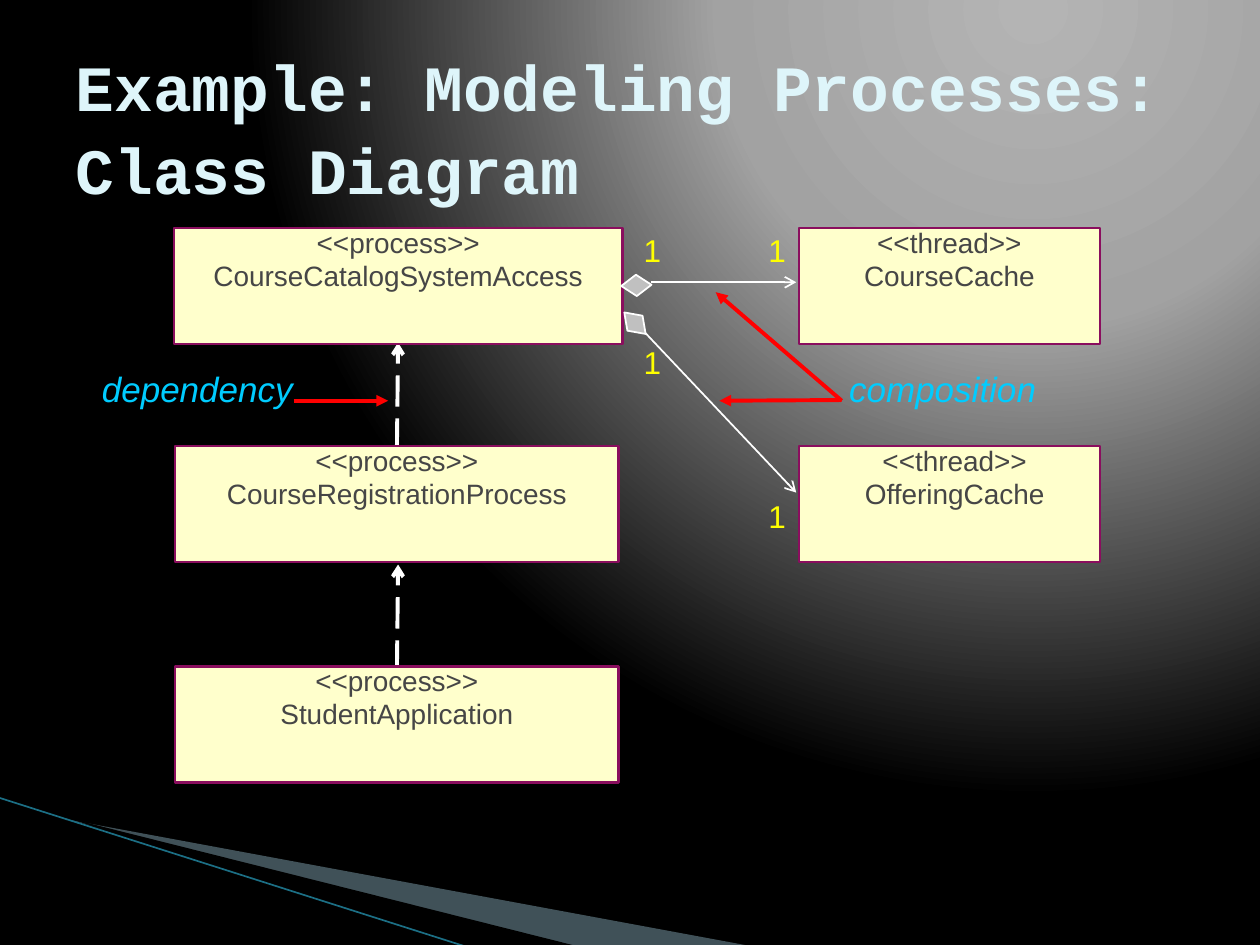
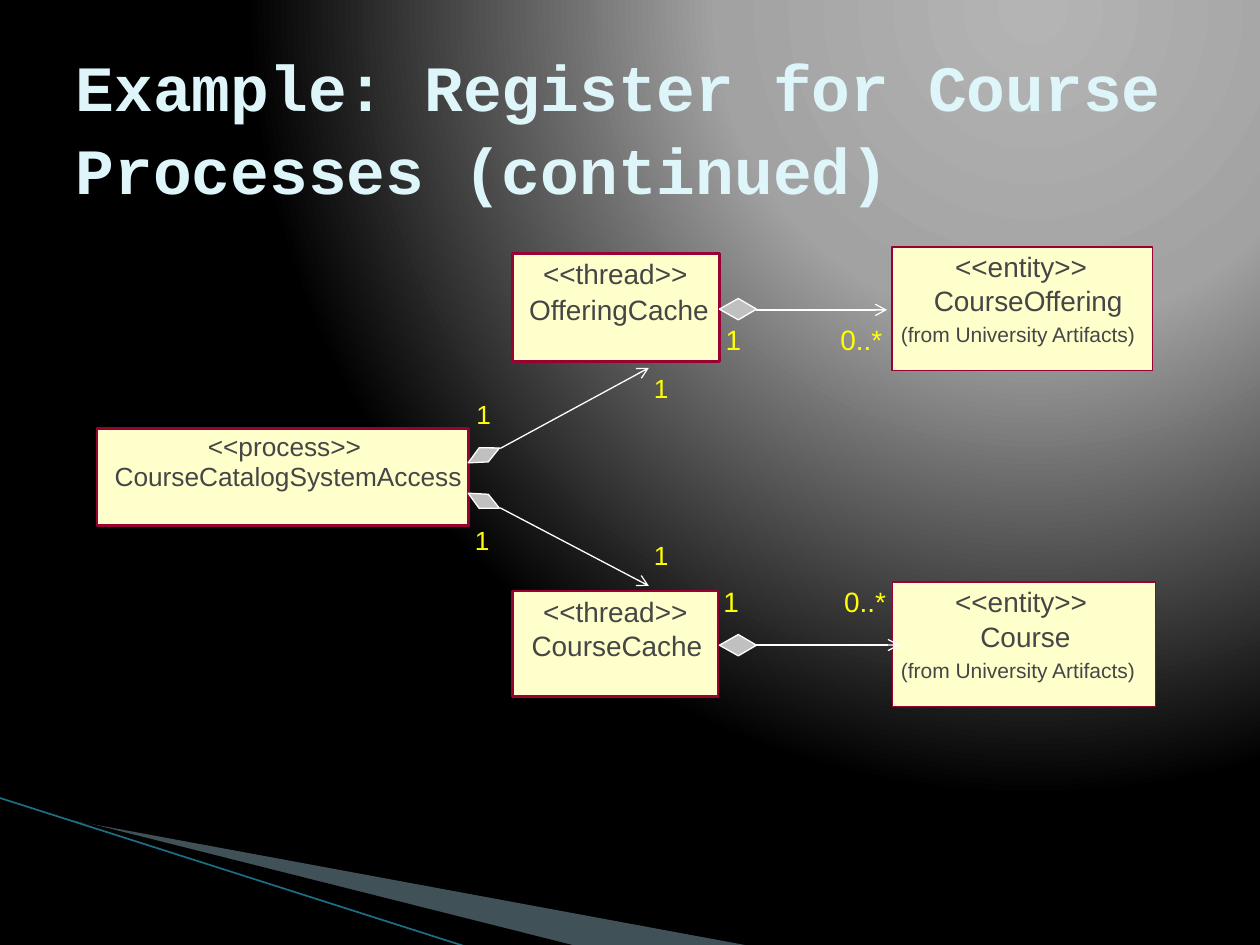
import pptx
import pptx.dml.color
import pptx.enum.dml
import pptx.enum.shapes
import pptx.enum.text
import pptx.oxml
import pptx.oxml.ns
import pptx.util

Pt = pptx.util.Pt
qn = pptx.oxml.ns.qn
SHAPES = pptx.enum.shapes.MSO_SHAPE
ALIGN = pptx.enum.text.PP_ALIGN
ANCHOR = pptx.enum.text.MSO_ANCHOR
LONG_DASH = pptx.enum.dml.MSO_LINE.LONG_DASH

NAMESPACE = 'xmlns:a="http://schemas.openxmlformats.org/drawingml/2006/main"'
WHITE, BLACK, RED = "FFFFFF", "000000", "FF0000"
CREAM, PURPLE, CRIMSON = "FFFFCC", "8A0E5E", "990033"
INK, YELLOW, CYAN, SILVER = "464646", "FFFF00", "00CCFF", "C0C0C0"
TITLE_COLOR, WEDGE, TEAL = "DEF5FA", "A0CBDC", "1C6F85"
BACKDROP = [(0, "B4B4B4"), (40, "A2A2A2"), (100, BLACK)]


def color(hex_text):
    return pptx.dml.color.RGBColor.from_string(hex_text)


def write_text(frame, text, size=16, fill=INK, font="Arial", bold=False, italic=False,
               align=ALIGN.LEFT, anchor=ANCHOR.TOP, spacing=0.8, before=0,
               wrap=False, margins=(0, 0, 0, 0)):
    frame.word_wrap = wrap
    frame.auto_size = pptx.enum.text.MSO_AUTO_SIZE.NONE
    frame.vertical_anchor = anchor
    frame.margin_left, frame.margin_top, frame.margin_right, frame.margin_bottom = map(Pt, margins)
    for index, line in enumerate(text.split("\n")):
        paragraph = frame.add_paragraph() if index else frame.paragraphs[0]
        paragraph.text = line
        paragraph.alignment = align
        paragraph.line_spacing = spacing
        paragraph.space_before = Pt(before if index else 0)
        paragraph.font.name = font
        paragraph.font.size = Pt(size)
        paragraph.font.bold = bold
        paragraph.font.italic = italic
        paragraph.font.color.rgb = color(fill)


def add_text(shapes, text, left, top, width, height, **text_format):
    box = shapes.add_textbox(Pt(left), Pt(top), Pt(width), Pt(height))
    write_text(box.text_frame, text, **text_format)


def paint(shape, fill, line=None, width=0):
    shape.shadow.inherit = False
    shape.fill.solid()
    shape.fill.fore_color.rgb = color(fill)
    if line is None:
        shape.line.fill.background()
    else:
        shape.line.color.rgb = color(line)
        shape.line.width = Pt(width)
    return shape


def add_preset(shapes, kind, left, top, width, height, *paint_values):
    shape = shapes.add_shape(kind, Pt(left), Pt(top), Pt(width), Pt(height))
    return paint(shape, *paint_values)


def add_outline(shapes, left, top, points, *paint_values):
    corners = [(Pt(left + x), Pt(top + y)) for x, y in points]
    builder = shapes.build_freeform(*corners[0])
    builder.add_line_segments(corners[1:])
    return paint(builder.convert_to_shape(), *paint_values)


def add_line(shapes, start, end, line, width, arrow=None, dash=None):
    connector = shapes.add_connector(
        pptx.enum.shapes.MSO_CONNECTOR.STRAIGHT, *map(Pt, start + end))
    connector.line.color.rgb = color(line)
    connector.line.width = Pt(width)
    if dash:
        connector.line.dash_style = dash
    properties = connector._element.spPr
    if arrow:
        properties.find(qn("a:ln")).append(
            pptx.oxml.parse_xml(f'<a:tailEnd {NAMESPACE} type="{arrow}"/>'))
    properties.append(pptx.oxml.parse_xml(f"<a:effectLst {NAMESPACE}/>"))


def set_backdrop(master):
    fill = master.background.fill
    fill.gradient()
    gradient = master._element.find(".//" + qn("a:gradFill"))
    stops = "".join(f'<a:gs pos="{place * 1000}"><a:srgbClr val="{shade}"/></a:gs>'
                    for place, shade in BACKDROP)
    gradient.getparent().replace(gradient, pptx.oxml.parse_xml(
        f'<a:gradFill {NAMESPACE} rotWithShape="1"><a:gsLst>{stops}</a:gsLst>'
        '<a:path path="circle"><a:fillToRect l="65000" t="0" r="0" b="98000"/></a:path>'
        "</a:gradFill>"))


def add_corner_band(shapes, left, top):
    wedge = add_outline(shapes, left, top, [(39.6, 12.7), (428.4, 84.7), (328.3, 84.7)], WEDGE)
    wedge._element.spPr.find(".//" + qn("a:srgbClr")).append(
        pptx.oxml.parse_xml(f'<a:alpha {NAMESPACE} val="40000"/>'))
    add_outline(shapes, left, top, [(38.2, 11.5), (329, 84.7), (267.8, 85.4)], BLACK)
    add_line(shapes, (left - 0.7, top), (left + 267.1, top + 85.4), TEAL, 0.95)


def add_base_slide(presentation, title):
    slide = presentation.slides.add_slide(presentation.slide_layouts[5])
    add_corner_band(slide.shapes, 0, 455.8)
    holder = slide.shapes.title
    holder.left, holder.top, holder.width, holder.height = map(Pt, (36, 21.6, 648, 90))
    write_text(holder.text_frame, title, size=36.9, fill=TITLE_COLOR, font="Courier New",
               bold=True, anchor=ANCHOR.MIDDLE, spacing=1.07, wrap=True,
               margins=(7.2, 12.6, 7.2, 3.6))
    return slide.shapes


def add_captioned_class(shapes, left, top, width, caption, shift=0):
    group = shapes.add_group_shape().shapes
    add_preset(group, SHAPES.RECTANGLE, left, top, width, 66.2, CREAM, PURPLE, 1.5)
    add_text(group, caption, left + shift, top - 1.4, width, 46, align=ALIGN.CENTER,
             before=3.6, margins=(7.2, 3.6, 7.2, 3.6))


def add_labelled_class(shapes, left, top, width, height, border, labels):
    group = shapes.add_group_shape().shapes
    add_preset(group, SHAPES.RECTANGLE, left, top, width, height, CREAM, CRIMSON, border)
    for text, size, x, y, text_width in labels:
        add_text(group, text, left + x, top + y, text_width, size * 1.2, size=size)


def build_class_diagram(presentation):
    shapes = add_base_slide(presentation, "Example: Modeling Processes: Class Diagram")
    upper, middle, lower = 130.3, 254.9, 380.9
    for bottom, tip in ((257, 195.8), (383.8, 322.6)):
        add_line(shapes, (226.8, bottom), (227.5, tip), WHITE, 2.25, "arrow", LONG_DASH)

    add_captioned_class(shapes, 99.4, upper, 256.3, "<<process>>\nCourseCatalogSystemAccess")
    add_captioned_class(shapes, 100.1, middle, 253.4, "<<process>>\nCourseRegistrationProcess")
    add_captioned_class(shapes, 100.1, lower, 253.4, "<<process>>\nStudentApplication")
    add_captioned_class(shapes, 456.5, upper, 172.1, "<<thread>>\nCourseCache")
    add_captioned_class(shapes, 456.5, middle, 172.1, "<<thread>>\nOfferingCache", shift=3)

    for word, left in (("dependency", 51.1), ("composition", 478.1)):
        add_text(shapes, word, left, 211, 126, 31, size=20, fill=CYAN, italic=True,
                 wrap=True, margins=(7.2, 3.6, 7.2, 3.6))
    for start, end in (((167.8, 229), (221.8, 229)),
                       ((481, 228.6), (411.1, 229)),
                       ((481, 229), (409, 167))):
        add_line(shapes, start, end, RED, 2.25, "triangle")

    add_line(shapes, (367.2, 188.6), (455, 281.5), WHITE, 1, "arrow")
    add_line(shapes, (372.2, 161.3), (455, 161.3), WHITE, 1, "arrow")
    for left, top, angle in ((354.2, 178.6, 45.3), (355, 157, 357.7)):
        add_preset(shapes, SHAPES.DIAMOND, left, top, 17.3, 12.2,
                   SILVER, WHITE, 1).rotation = angle
    for left, top in ((432, 132.5), (360.7, 132.5), (360.7, 196.6), (432, 284.4)):
        add_text(shapes, "1", left, top, 23.8, 28.8, size=18, fill=YELLOW,
                 wrap=True, margins=(7.2, 3.6, 7.2, 3.6))


def build_register_processes(presentation):
    shapes = add_base_slide(presentation, "Example: Register for Course Processes (continued)")
    thread = ("<<thread>>", 16, 17.3, 5.8, 82.8)
    entity = ("<<entity>>", 16, 36, 5, 75.6)
    origin = ("(from University Artifacts)", 12, 5, 45.7, 134.6)
    add_labelled_class(shapes, 55.4, 244.8, 212.4, 55.4, 1.5, [
        ("<<process>>", 15, 63.4, 4.3, 87.8),
        ("CourseCatalogSystemAccess", 15, 10.1, 21.6, 198.7)])
    add_labelled_class(shapes, 293, 144.7, 118.1, 61.9, 1.5, [
        thread, ("OfferingCache", 16, 9.4, 25.9, 103)])
    add_labelled_class(shapes, 293, 337.7, 117.4, 60.5, 1.5, [
        thread, ("CourseCache", 16, 10.8, 25.2, 97.9)])
    add_labelled_class(shapes, 509.8, 141.1, 149, 70.6, 0, [
        entity, ("CourseOffering", 16, 23.8, 24.5, 108.7), origin])
    add_labelled_class(shapes, 509.8, 332.6, 150.5, 71.3, 0, [
        entity, ("Course", 16, 50.4, 25.2, 51.8), origin])

    flat = [(0, 6.1), (10.8, 12.2), (21.2, 6.1), (10.8, 0), (0, 6.1)]
    rising = [(0, 7.9), (11.5, 8.6), (18.7, 1.4), (7.2, 0), (0, 7.9)]
    falling = [(x, 8.6 - y) for x, y in rising]
    for left, top, points, angle in ((411.1, 362.6, flat, 0), (411.1, 170.6, flat, 0),
                                     (267.1, 255.6, rising, 353.7),
                                     (267.1, 282.2, falling, 6.5)):
        add_outline(shapes, left, top, points, SILVER, WHITE, 0).rotation = angle
    for start, end in (((430.6, 368.6), (514.1, 368.6)),
                       ((432, 177.1), (506.9, 177.1)),
                       ((285.8, 256.3), (370.8, 210.2)),
                       ((285.8, 290.2), (370.8, 334.8))):
        add_line(shapes, start, end, WHITE, 0.75, "arrow")

    for text, size, left, top, width in (
            ("1", 16, 413.3, 337.7, 8.6), ("0..*", 16, 482.4, 337.7, 24.5),
            ("1", 16, 414.7, 187.9, 8.6), ("0..*", 16, 480.2, 187.9, 24.5),
            ("1", 15, 271.4, 303.1, 8.6), ("1", 15, 373.7, 311.8, 8.6),
            ("1", 15, 272.2, 231.1, 8.6), ("1", 15, 373.7, 216, 8.6)):
        add_text(shapes, text, left, top, width, size * 1.2, size=size, fill=YELLOW)


def main():
    presentation = pptx.Presentation()
    presentation.slide_width, presentation.slide_height = Pt(720), Pt(540)
    set_backdrop(presentation.slide_master)
    build_class_diagram(presentation)
    build_register_processes(presentation)
    presentation.save("out.pptx")


if __name__ == "__main__":
    main()
